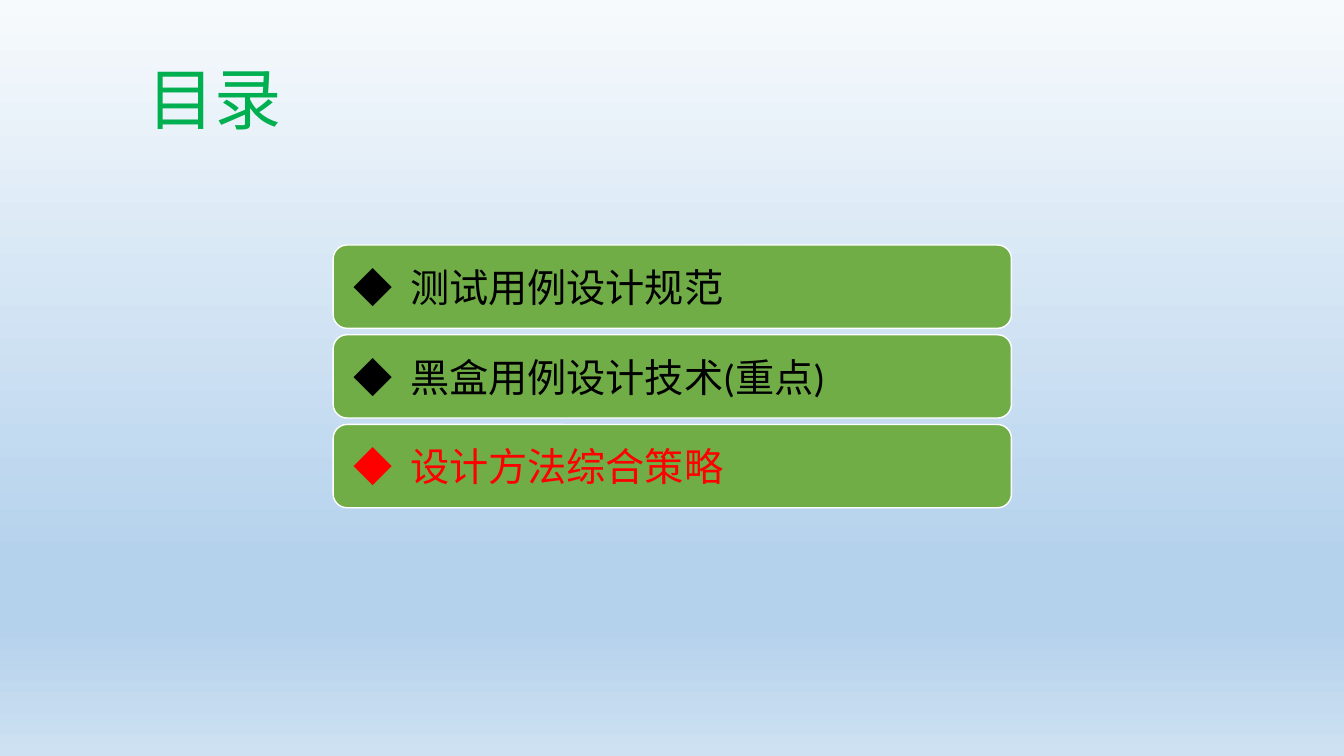
from lxml import etree
from pptx import Presentation
from pptx import util as u
from pptx.dml.color import RGBColor
from pptx.enum import shapes, text
from pptx.oxml.ns import qn

Pt = u.Pt
COLORS = {"title": "00B050", "bar": "70AD47", "edge": "FFFFFF",
          "item": "000000", "current": "FF0000"}
SKY = [(0, "F7FAFD"), (74, "B5D2EC"), (83, "B5D2EC"), (100, "CEE1F2")]
CJK = "Noto Sans CJK SC"


def rgb(name):
    return RGBColor.from_string(COLORS[name])


def add_run(p, words, size, font, color):
    r = p.add_run()
    r.text = words
    for key, value in {"size": Pt(size), "name": font}.items():
        setattr(r.font, key, value)
    r.font.color.rgb = rgb(color)
    etree.SubElement(r.font._element, qn("a:ea"), typeface=CJK)


prs = Presentation()
prs.slide_width, prs.slide_height = Pt(960), Pt(540)
s = prs.slides.add_slide(prs.slide_layouts[6])

# Background gradient, top to bottom
fill = s.background.fill
fill.gradient()
fill.gradient_angle = 270
stops = s.background._cSld.find(".//" + qn("a:gsLst"))
for stop in list(stops):
    stops.remove(stop)
for pos, color in SKY:
    stop = etree.SubElement(stops, qn("a:gs"), pos=str(pos * 1000))
    etree.SubElement(stop, qn("a:srgbClr"), val=color)

# Title
tf = s.shapes.add_textbox(Pt(98), Pt(44), Pt(795.6), Pt(84)).text_frame
tf.word_wrap = True
p = tf.paragraphs[0]
p.line_spacing = 0.9
add_run(p, "目录", 48, CJK, "title")

# Agenda bars
ITEMS = [("测试用例设计规范", "item"),
         ("黑盒用例设计技术(重点)", "item"),
         ("设计方法综合策略", "current")]
LEFT, TOP, WIDTH, HEIGHT, STEP = 238, 175, 484.5, 59.5, 64.1
FRAME = {"word_wrap": True, "vertical_anchor": text.MSO_ANCHOR.MIDDLE,
         "margin_left": Pt(11.5), "margin_right": Pt(11.5),
         "margin_top": Pt(8.5), "margin_bottom": Pt(8.5)}
for i, (words, color) in enumerate(ITEMS):
    sp = s.shapes.add_shape(shapes.MSO_SHAPE.ROUNDED_RECTANGLE, Pt(LEFT),
                            Pt(TOP + i * STEP), Pt(WIDTH), Pt(HEIGHT))
    sp.shadow.inherit = False
    sp.fill.solid()
    sp.fill.fore_color.rgb = rgb("bar")
    sp.line.color.rgb = rgb("edge")
    sp.line.width = Pt(1)
    tf = sp.text_frame
    for key, value in FRAME.items():
        setattr(tf, key, value)
    p = tf.paragraphs[0]
    p.alignment = text.PP_ALIGN.LEFT
    # Hanging indent: the tab after the diamond stops at the left margin
    pPr = p._p.get_or_add_pPr()
    pPr.set("marL", str(Pt(40.5)))
    pPr.set("indent", str(-Pt(40.5)))
    add_run(p, "◆\t" + words, 28, "Calibri", color)

prs.save("out.pptx")
